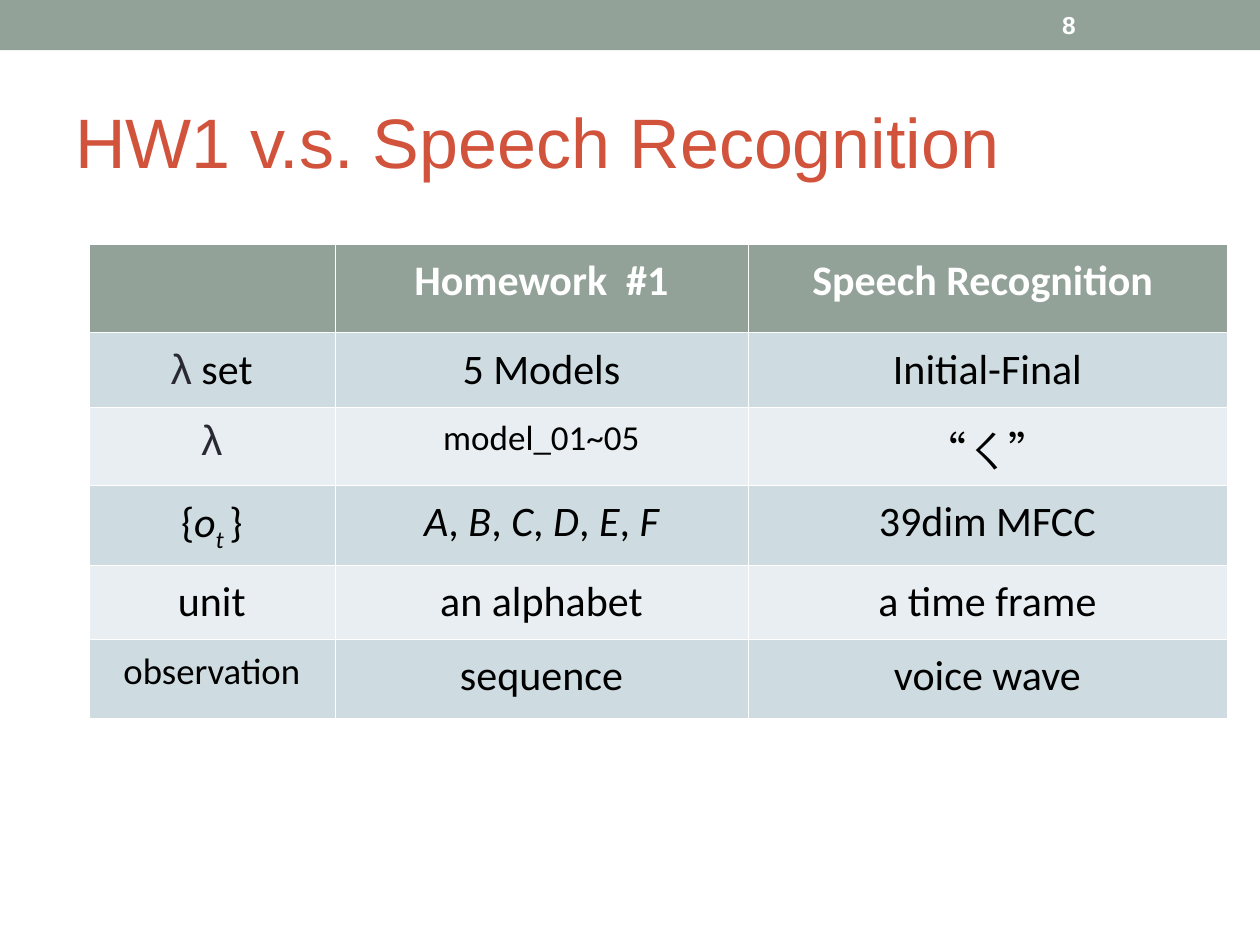
from lxml.etree import SubElement
from pptx import Presentation
from pptx.dml.color import RGBColor
from pptx.enum.shapes import MSO_SHAPE
from pptx.enum.text import MSO_ANCHOR, PP_ALIGN
from pptx.oxml.ns import qn
from pptx.util import Cm, Pt

SAGE, WHITE, BLACK, INK, RUST = "93A299", "FFFFFF", "000000", "292934", "D2533C"
BAND_COLORS = ("E8EEF1", "CEDCE1")

TITLE = {"box": (1.27, 1.47, 22.86, 2.74), "text": "HW1 v.s. Speech Recognition",
         "format": {"size": 40, "name": "Arial", "color": RUST}}
PAGE_NUMBER = {"box": (21.16, 0.05, 2.97, 0.91), "text": "8",
               "format": {"size": 14, "name": "Arial", "color": WHITE, "bold": True}}

CELL = {"size": 24, "name": "Calibri", "color": BLACK}
HEADER = {"color": WHITE, "bold": True}
GREEK = {"name": "Arial", "color": INK}
ITALIC = {"italic": True}
SUBSCRIPT = {"italic": True, "baseline": -25}

# Each cell is a list of (text, format changes) runs.
LETTERS = [("A", ITALIC)]
for letter in "BCDEF":
    LETTERS += [(", ", {}), (letter, ITALIC)]
ROWS = [
    [[], [("Homework  #1", HEADER)], [("Speech Recognition ", HEADER)]],
    [[("λ", GREEK), (" set", {})], [("5 Models", {})], [("Initial-Final", {})]],
    [[("λ", GREEK)], [("model_01~05", {"size": 20})], [("“ㄑ”", {})]],
    [[("{", {}), ("o", ITALIC), ("t ", SUBSCRIPT), ("}", {})], LETTERS,
     [("39dim MFCC", {})]],
    [[("unit", {})], [("an alphabet", {})], [("a time frame", {})]],
    [[("observation", {"size": 21})], [("sequence", {})], [("voice wave", {})]],
]
TABLE_LEFT, TABLE_TOP = 1.79, 4.93
COLUMN_WIDTHS = (4.96, 8.33, 9.65)
ROW_HEIGHTS = (1.78, 1.49, 1.59, 1.6, 1.49, 1.6)


def rgb(color):
    return RGBColor.from_string(color)


def add_run(paragraph, text, formats):
    run = paragraph.add_run()
    run.text = text
    for name, value in formats.items():
        if name == "color":
            run.font.color.rgb = rgb(value)
        elif name == "baseline":
            run.font._element.set("baseline", str(value * 1000))
        else:
            setattr(run.font, name, Pt(value) if name == "size" else value)


def add_text(slide, item):
    frame = slide.shapes.add_textbox(*map(Cm, item["box"])).text_frame
    frame.word_wrap = True
    frame.vertical_anchor = MSO_ANCHOR.MIDDLE
    add_run(frame.paragraphs[0], item["text"], item["format"])


def set_borders(cell, bottom_width, top_width):
    properties = cell._tc.get_or_add_tcPr()
    widths = {"lnL": 0.23, "lnR": 0.23, "lnT": top_width, "lnB": bottom_width}
    for position, (tag, width) in enumerate(widths.items()):
        line = SubElement(properties, qn(f"a:{tag}"), w=str(Pt(width)))
        properties.insert(position, line)
        fill = SubElement(line, qn("a:solidFill"))
        SubElement(fill, qn("a:srgbClr"), val=WHITE)


def add_table(slide):
    table = slide.shapes.add_table(
        len(ROWS), len(COLUMN_WIDTHS), Cm(TABLE_LEFT), Cm(TABLE_TOP),
        Cm(sum(COLUMN_WIDTHS)), Cm(sum(ROW_HEIGHTS))).table
    for column, width in zip(table.columns, COLUMN_WIDTHS):
        column.width = Cm(width)
    for row, height in zip(table.rows, ROW_HEIGHTS):
        row.height = Cm(height)
    for row_index, row in enumerate(ROWS):
        for column_index, runs in enumerate(row):
            cell = table.cell(row_index, column_index)
            cell.fill.solid()
            cell.fill.fore_color.rgb = rgb(BAND_COLORS[row_index % 2] if row_index else SAGE)
            set_borders(cell, bottom_width=0.23 if row_index else 0.75,
                        top_width=0.75 if row_index == 1 else 0.23)
            paragraph = cell.text_frame.paragraphs[0]
            paragraph.alignment = PP_ALIGN.CENTER
            paragraph.line_spacing = 1.1
            for text, changes in runs:
                add_run(paragraph, text, CELL | changes)


def main():
    presentation = Presentation()
    presentation.slide_width, presentation.slide_height = Cm(25.4), Cm(19.05)
    slide = presentation.slides.add_slide(presentation.slide_layouts[6])

    band = slide.shapes.add_shape(MSO_SHAPE.RECTANGLE, 0, 0, Cm(25.4), Cm(1.01))
    band.shadow.inherit = False
    band.fill.solid()
    band.fill.fore_color.rgb = rgb(SAGE)
    band.line.fill.background()

    add_text(slide, TITLE)
    add_table(slide)
    add_text(slide, PAGE_NUMBER)
    presentation.save("out.pptx")


if __name__ == "__main__":
    main()
